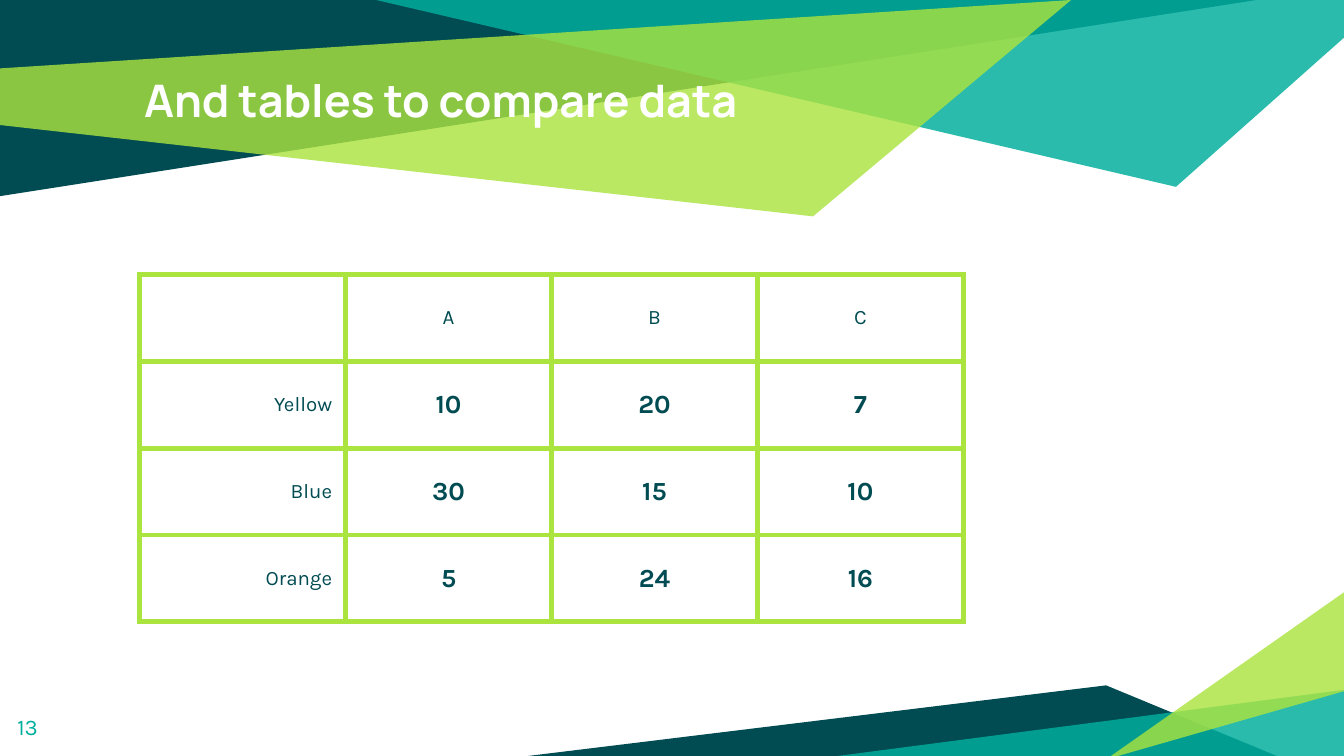
from typing import NamedTuple

from lxml.etree import SubElement
from pptx import Presentation
from pptx.dml.color import RGBColor
from pptx.enum.text import MSO_ANCHOR, MSO_AUTO_SIZE, PP_ALIGN
from pptx.oxml.ns import qn
from pptx.util import Pt

DARK, TEAL, LIME, WHITE = "004C52", "00AE9D", "ABE33F", "FFFFFF"
HEAD, BODY = "Manrope", "Karla"


class Shard(NamedTuple):
    color: str
    alpha: int
    points: list[tuple[float, float]]


SHARDS = [
    Shard(DARK, 100, [(0, 0), (0, 105.1), (673.2, 0)]),
    Shard(TEAL, 83, [(201.6, 0), (630, 100.1), (720, 20.2), (720, 0)]),
    Shard(LIME, 81, [(-0.7, 36.7), (0, 67), (435.6, 115.9), (573.8, 0)]),
    Shard(DARK, 100, [(283, 405), (684, 405), (592.6, 367.2)]),
    Shard(TEAL, 83, [(721.4, 369.4), (721.4, 406.8), (434.9, 406.8)]),
    Shard(LIME, 81, [(720.7, 370.1), (720.7, 316.8), (592.6, 406.8)]),
]

ROWS = [
    ("", "A", "B", "C"),
    ("Yellow", "10", "20", "7"),
    ("Blue", "30", "15", "10"),
    ("Orange", "5", "24", "16"),
]
COL_W, ROW_H = 110.3, 46.6


def rgb(color: str) -> RGBColor:
    return RGBColor.from_string(color)


def style(p, font: str, size: float, color: str, bold: bool = False, align=PP_ALIGN.LEFT) -> None:
    p.alignment = align
    p.font.name = font
    p.font.size = Pt(size)
    p.font.bold = bold
    p.font.color.rgb = rgb(color)


def place(sp, left: float, top: float, width: float, height: float, anchor) -> None:
    sp.left, sp.top, sp.width, sp.height = Pt(left), Pt(top), Pt(width), Pt(height)
    tf = sp.text_frame
    tf.word_wrap = True
    tf.auto_size = MSO_AUTO_SIZE.NONE
    tf.vertical_anchor = anchor
    tf.margin_left = tf.margin_right = tf.margin_top = tf.margin_bottom = Pt(7.2)


def draw_shard(s, shard: Shard) -> None:
    start, *rest = [(Pt(x), Pt(y)) for x, y in shard.points]
    fb = s.shapes.build_freeform(*start)
    fb.add_line_segments(rest, close=True)
    sp = fb.convert_to_shape()
    sp.shadow.inherit = False
    sp.line.fill.background()
    sp.fill.solid()
    sp.fill.fore_color.rgb = rgb(shard.color)
    if shard.alpha < 100:
        clr = sp._element.spPr.find(qn("a:solidFill")).find(qn("a:srgbClr"))
        SubElement(clr, qn("a:alpha"), val=str(shard.alpha * 1000))


def border(cell, color: str, width: float) -> None:
    tcPr = cell._tc.get_or_add_tcPr()
    for i, side in enumerate(("a:lnL", "a:lnR", "a:lnT", "a:lnB")):
        ln = tcPr.makeelement(qn(side), {"w": str(Pt(width))})
        fill = SubElement(ln, qn("a:solidFill"))
        SubElement(fill, qn("a:srgbClr"), val=color)
        tcPr.insert(i, ln)


def draw_table(s, left: float, top: float) -> None:
    n_rows, n_cols = len(ROWS), len(ROWS[0])
    tbl = s.shapes.add_table(
        n_rows, n_cols, Pt(left), Pt(top), Pt(n_cols * COL_W), Pt(n_rows * ROW_H)
    ).table
    tbl.first_row = tbl.horz_banding = False
    for col in tbl.columns:
        col.width = Pt(COL_W)
    for i, row in enumerate(ROWS):
        tbl.rows[i].height = Pt(ROW_H)
        for j, text in enumerate(row):
            cell = tbl.cell(i, j)
            cell.text = text
            cell.vertical_anchor = MSO_ANCHOR.MIDDLE
            cell.margin_left = cell.margin_right = Pt(7.2)
            cell.margin_top = cell.margin_bottom = Pt(5)
            cell.fill.background()
            border(cell, LIME, 3)
            value = i > 0 and j > 0
            align = PP_ALIGN.CENTER if j else PP_ALIGN.RIGHT
            style(cell.text_frame.paragraphs[0], BODY, 14 if value else 11, DARK, value, align)


prs = Presentation()
prs.slide_width, prs.slide_height = Pt(720), Pt(405)
s = prs.slides.add_slide(prs.slide_layouts[5])
s.background.fill.solid()
s.background.fill.fore_color.rgb = rgb(WHITE)

for shard in SHARDS:
    draw_shard(s, shard)

title = s.shapes.title
s.shapes._spTree.append(title._element)
title.text_frame.text = "And tables to compare data"
place(title, 70, 31.7, 580, 67.7, MSO_ANCHOR.TOP)
style(title.text_frame.paragraphs[0], HEAD, 24, WHITE, True)

draw_table(s, 74.9, 146.9)

number = s.shapes.add_textbox(0, 0, 0, 0)
number.text_frame.text = "13"
place(number, 2.2, 373.7, 43.2, 31, MSO_ANCHOR.MIDDLE)
style(number.text_frame.paragraphs[0], BODY, 12, TEAL)

prs.save("out.pptx")
